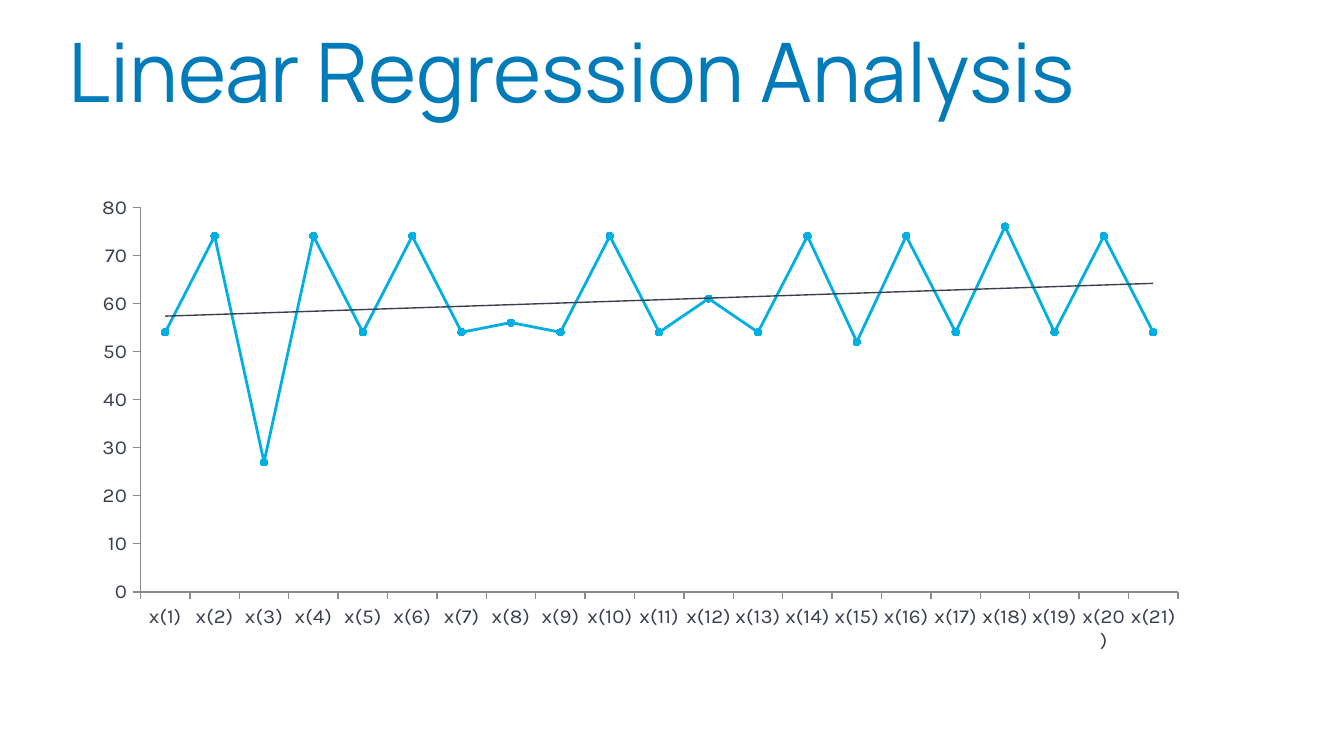
"""Build a slide with a line chart and its linear regression trend."""
import pptx
import pptx.chart.data
import pptx.dml.color
import pptx.enum.chart
import pptx.enum.text
import pptx.oxml
import pptx.util
from pptx.util import Inches

TITLE = "Linear Regression Analysis"
VALUES = [54, 74, 27, 74, 54, 74, 54, 56, 54, 74, 54,
          61, 54, 74, 52, 74, 54, 76, 54, 74, 54]
COLORS = {"title": "007BB9", "text": "3A3F50", "series": "01AFE2", "axis": "8B8B8B"}
BOXES = {"title": (0.51, 0.29, 8.52, 0.59), "chart": (0.5, 1.4, 8.27, 3.46)}
PLOT = {"x": 0.091, "y": 0.043, "w": 0.934, "h": 0.86}
FONTS = {
    "title": {"name": "Manrope", "size": pptx.util.Pt(44), "bold": False},
    "text": {"name": "Karla", "size": pptx.util.Pt(11), "bold": False},
}
FRAME = {
    "margin_left": 0, "margin_top": 0, "margin_right": 0, "margin_bottom": 0,
    "word_wrap": True, "auto_size": pptx.enum.text.MSO_AUTO_SIZE.NONE,
    "vertical_anchor": pptx.enum.text.MSO_ANCHOR.TOP,
}
NS = ('xmlns:c="http://schemas.openxmlformats.org/drawingml/2006/chart" '
      'xmlns:a="http://schemas.openxmlformats.org/drawingml/2006/main"')


def apply(obj, values):
    for name, value in values.items():
        setattr(obj, name, value)


def rgb(name):
    return pptx.dml.color.RGBColor.from_string(COLORS[name])


def style_font(font, name):
    apply(font, FONTS[name])
    font.color.rgb = rgb(name)


def style_line(line, name, width):
    line.color.rgb = rgb(name)
    line.width = pptx.util.Pt(width)


def add_title(s):
    sp = s.shapes.title
    apply(sp, dict(zip(("left", "top", "width", "height"), map(Inches, BOXES["title"]))))
    tf = sp.text_frame
    apply(tf, FRAME)
    p = tf.paragraphs[0]
    apply(p, {"alignment": pptx.enum.text.PP_ALIGN.LEFT, "line_spacing": 0.8})
    r = p.add_run()
    r.text = TITLE
    style_font(r.font, "title")


def set_plot_layout(chart):
    area = chart.element.chart.plotArea
    for old in area.xpath("c:layout"):
        area.remove(old)
    sizes = "".join(f'<c:{k} val="{v}"/>' for k, v in PLOT.items())
    area.insert(0, pptx.oxml.parse_xml(
        f'<c:layout {NS}><c:manualLayout><c:layoutTarget val="inner"/>'
        f'<c:xMode val="edge"/><c:yMode val="edge"/>{sizes}'
        '</c:manualLayout></c:layout>'))


def add_trend(series):
    trend = pptx.oxml.parse_xml(
        f'<c:trendline {NS}><c:spPr><a:ln w="9525"><a:solidFill>'
        f'<a:srgbClr val="{COLORS["text"]}"/></a:solidFill></a:ln></c:spPr>'
        '<c:trendlineType val="linear"/><c:dispRSqr val="0"/><c:dispEq val="0"/>'
        '</c:trendline>')
    series.xpath("c:cat")[0].addprevious(trend)


def add_chart(s):
    data = pptx.chart.data.CategoryChartData()
    data.categories = [f"x({i})" for i in range(1, len(VALUES) + 1)]
    data.add_series("Series 1", VALUES)
    chart = s.shapes.add_chart(pptx.enum.chart.XL_CHART_TYPE.LINE_MARKERS,
                               *map(Inches, BOXES["chart"]), data).chart
    apply(chart, {"has_title": False, "has_legend": False})
    style_font(chart.font, "text")
    for axis in (chart.category_axis, chart.value_axis):
        apply(axis, {"has_major_gridlines": False,
                     "major_tick_mark": pptx.enum.chart.XL_TICK_MARK.OUTSIDE,
                     "minor_tick_mark": pptx.enum.chart.XL_TICK_MARK.NONE})
        style_line(axis.format.line, "axis", 0.75)
        style_font(axis.tick_labels.font, "text")
    apply(chart.value_axis, {"minimum_scale": 0, "maximum_scale": 80, "major_unit": 10})
    plot = chart.plots[0]
    plot.vary_by_categories = False
    series = plot.series[0]
    series.smooth = False
    style_line(series.format.line, "series", 1.5)
    apply(series.marker, {"style": pptx.enum.chart.XL_MARKER_STYLE.CIRCLE, "size": 4})
    series.marker.format.fill.solid()
    series.marker.format.fill.fore_color.rgb = rgb("series")
    style_line(series.marker.format.line, "series", 0.75)
    add_trend(series._element)
    set_plot_layout(chart)


def main():
    prs = pptx.Presentation()
    width = Inches(10)
    apply(prs, {"slide_width": width, "slide_height": width * 9 // 16})
    s = prs.slides.add_slide(prs.slide_layouts[5])
    add_title(s)
    add_chart(s)
    prs.save("out.pptx")


if __name__ == "__main__":
    main()
